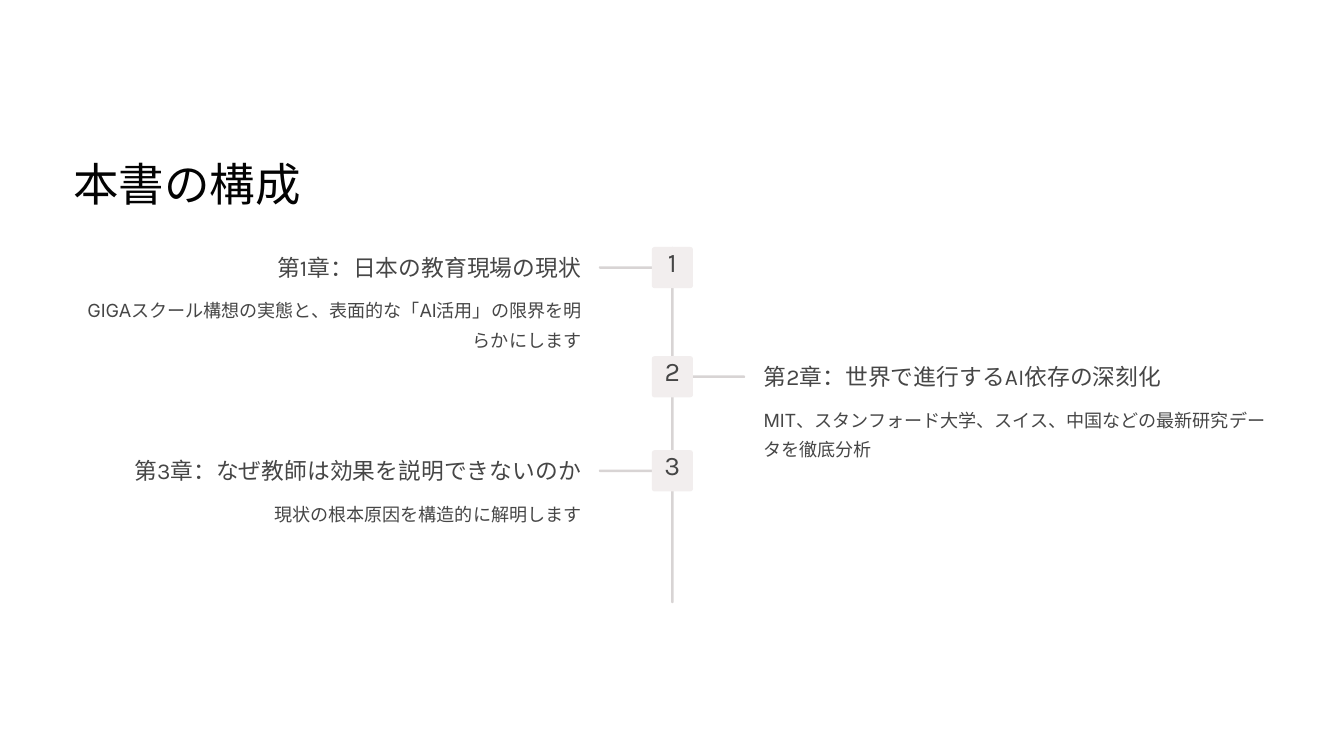
from pptx import Presentation
from pptx.dml.color import RGBColor
from pptx.enum.shapes import MSO_SHAPE as Preset
from pptx.enum.text import MSO_ANCHOR as Anchor, MSO_AUTO_SIZE as AutoSize, PP_ALIGN as Align
from pptx.util import Inches, Pt

WHITE = RGBColor(0xFF, 0xFF, 0xFF)
BLACK = RGBColor(0x03, 0x03, 0x03)
GREY = RGBColor(0x46, 0x46, 0x46)
RAIL = RGBColor(0xD8, 0xD4, 0xD4)
BADGE = RGBColor(0xF2, 0xEE, 0xEE)

TITLE_FORMAT = {"name": "Karla", "size": Pt(39), "bold": False}
NUMBER_FORMAT = {"name": "Karla", "size": Pt(23)}
HEADING_FORMAT = {"name": "Karla", "size": Pt(19.5)}
BODY_FORMAT = {"name": "Inter", "size": Pt(15.5)}

LEFT_COLUMN, RIGHT_COLUMN, COLUMN_WIDTH = 0.87, 9.09, 6.05
BADGE_LEFT, BADGE_SIZE = 7.76, 0.49
BRANCH_WIDTH, BAR_THICKNESS = 0.65, 0.03

CHAPTERS = [
    (2.94, "left", "第1章：日本の教育現場の現状",
     "GIGAスクール構想の実態と、表面的な「AI活用」の限界を明らかにします"),
    (4.24, "right", "第2章：世界で進行するAI依存の深刻化",
     "MIT、スタンフォード大学、スイス、中国などの最新研究データを徹底分析"),
    (5.36, "left", "第3章：なぜ教師は効果を説明できないのか",
     "現状の根本原因を構造的に解明します"),
]
SIDES = {
    "left": (LEFT_COLUMN, 7.13, Align.RIGHT),
    "right": (RIGHT_COLUMN, 8.22, Align.LEFT),
}


def write_text(shape, text, font_format, color, spacing, align, top_margin=0.0):
    frame = shape.text_frame
    frame_format = {
        "margin_left": 0, "margin_right": 0, "margin_bottom": 0,
        "margin_top": Inches(top_margin), "word_wrap": True,
        "auto_size": AutoSize.NONE, "vertical_anchor": Anchor.TOP,
    }
    for key, value in frame_format.items():
        setattr(frame, key, value)
    paragraph = frame.paragraphs[0]
    paragraph.alignment = align
    paragraph.line_spacing = Pt(spacing)
    run = paragraph.add_run()
    run.text = text
    for key, value in font_format.items():
        setattr(run.font, key, value)
    run.font.color.rgb = color


def add_title(slide, text):
    title = slide.shapes.title
    place = {"left": LEFT_COLUMN, "top": 1.83, "width": 5.43, "height": 0.68}
    for key, value in place.items():
        setattr(title, key, Inches(value))
    write_text(title, text, TITLE_FORMAT, BLACK, 48.5, Align.LEFT)


def add_rounded(slide, left, top, width, height, color, rounding=0.5):
    shape = slide.shapes.add_shape(
        Preset.ROUNDED_RECTANGLE, Inches(left), Inches(top), Inches(width), Inches(height))
    shape.adjustments[0] = rounding
    shape.shadow.inherit = False
    shape.fill.solid()
    shape.fill.fore_color.rgb = color
    shape.line.fill.background()
    return shape


def add_label(slide, left, top, height, text, font_format, spacing, align):
    label = slide.shapes.add_textbox(
        Inches(left), Inches(top), Inches(COLUMN_WIDTH), Inches(height))
    write_text(label, text, font_format, GREY, spacing, align)


def add_chapter(slide, number, top, side, heading, body):
    column_left, branch_left, align = SIDES[side]
    add_rounded(slide, branch_left, top + 0.23, BRANCH_WIDTH, BAR_THICKNESS, RAIL)
    badge = add_rounded(slide, BADGE_LEFT, top, BADGE_SIZE, BADGE_SIZE, BADGE, 0.067)
    write_text(badge, str(number), NUMBER_FORMAT, GREY, 23, Align.CENTER, 0.04)
    add_label(slide, column_left, top + 0.07, 0.34, heading, HEADING_FORMAT, 24, align)
    add_label(slide, column_left, top + 0.54, 0.69, body, BODY_FORMAT, 25, align)


def main():
    presentation = Presentation()
    presentation.slide_width = Inches(16)
    presentation.slide_height = Inches(9)
    slide = presentation.slides.add_slide(presentation.slide_layouts[5])
    slide.background.fill.solid()
    slide.background.fill.fore_color.rgb = WHITE
    add_title(slide, "本書の構成")
    add_rounded(slide, 7.99, 2.94, BAR_THICKNESS, 4.24, RAIL)
    for number, chapter in enumerate(CHAPTERS, start=1):
        add_chapter(slide, number, *chapter)
    presentation.save("out.pptx")


if __name__ == "__main__":
    main()
